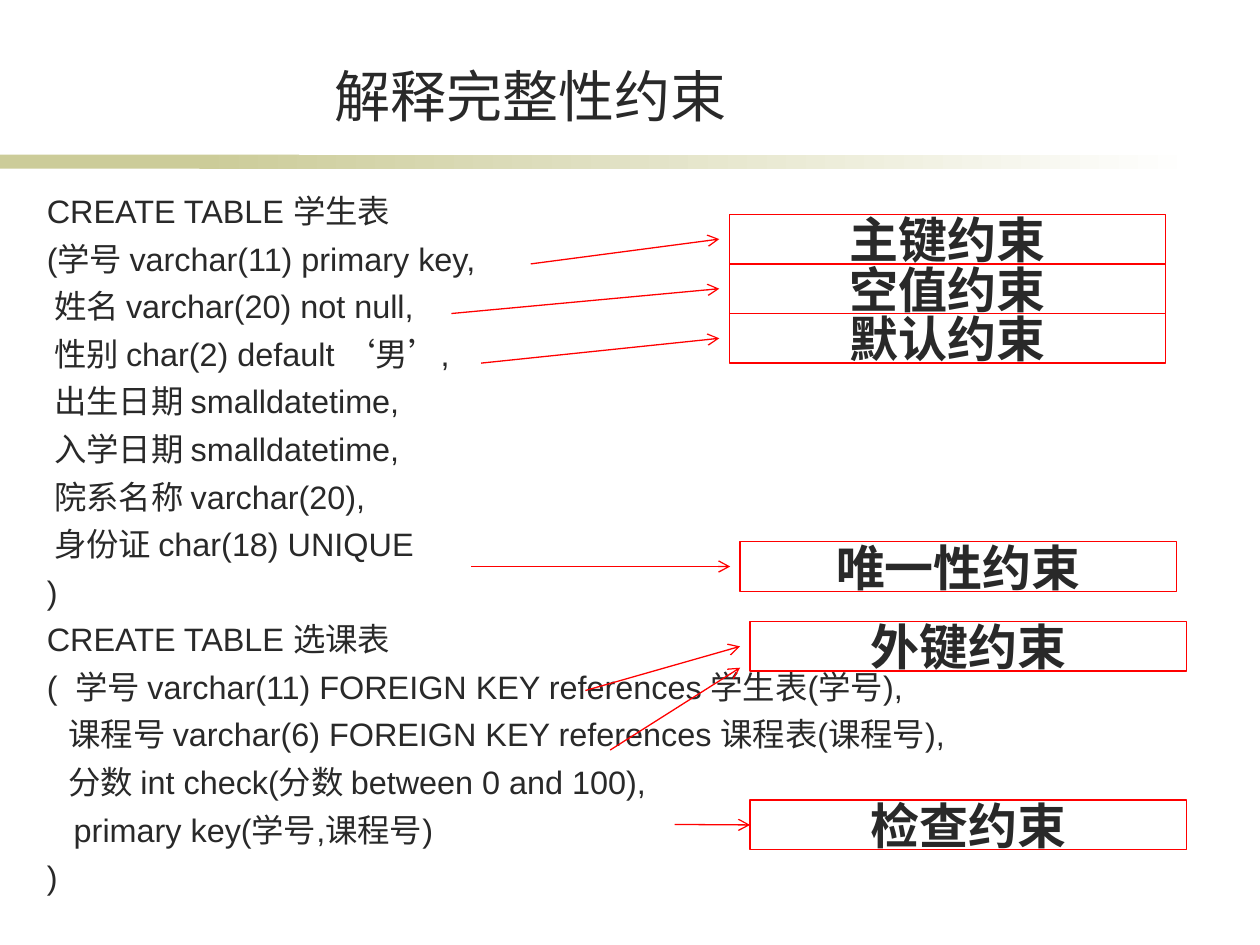
from dataclasses import dataclass

from lxml.etree import SubElement
from pptx import Presentation
from pptx.dml.color import RGBColor
from pptx.enum.shapes import MSO_CONNECTOR, MSO_SHAPE
from pptx.enum.text import MSO_ANCHOR, MSO_AUTO_SIZE, PP_ALIGN
from pptx.oxml.ns import qn
from pptx.util import Cm, Pt


@dataclass(frozen=True)
class Theme:
    ink: RGBColor = RGBColor(0x29, 0x29, 0x29)
    paper: RGBColor = RGBColor(0xFF, 0xFF, 0xFF)
    band: RGBColor = RGBColor(0xCC, 0xCC, 0x99)
    accent: RGBColor = RGBColor(0xFF, 0, 0)
    main_font: str = "Arial"
    label_font: str = "Times New Roman"
    title_size: float = 32
    code_size: float = 18.5
    label_size: float = 28
    line_width: float = 0.75


THEME = Theme()
CODE = """CREATE TABLE 学生表
(学号 varchar(11) primary key,
 姓名 varchar(20) not null,
 性别 char(2) default ‘男’,
 出生日期 smalldatetime,
 入学日期 smalldatetime,
 院系名称 varchar(20),
 身份证 char(18) UNIQUE
)
CREATE TABLE 选课表
(  学号 varchar(11) FOREIGN KEY references 学生表(学号),
   课程号 varchar(6) FOREIGN KEY references 课程表(课程号),
   分数 int check(分数 between 0 and 100),
   primary key(学号,课程号)
)"""

LABEL_WIDTH, LABEL_HEIGHT = 8.8, 1.0
ARROW_GAP = 0.2
# label, left, top, arrow starts as (x, y, end offset from the label's middle)
CONSTRAINTS = [
    ("主键约束", 14.7, 4.32, [(10.7, 5.32, 0)]),
    ("空值约束", 14.7, 5.32, [(9.1, 6.32, 0)]),
    ("默认约束", 14.7, 6.32, [(9.7, 7.32, 0)]),
    ("唯一性约束", 14.92, 10.92, [(9.5, 11.42, 0)]),
    ("外键约束", 15.12, 12.53, [(11.8, 13.92, 0), (12.3, 15.12, 0.43)]),
]
CHECK = ("检查约束", 15.12, 16.13)
CHECK_START = (13.6, 16.62)


def place(shape, left, top, width, height):
    shape.left, shape.top = Cm(left), Cm(top)
    shape.width, shape.height = Cm(width), Cm(height)


def style(paragraph, size, font_name, bold=False):
    for run in paragraph.runs:
        font = run.font
        font.size, font.name, font.bold = Pt(size), font_name, bold
        font.color.rgb = THEME.ink


def add_rectangle(slide, left, top, width, height):
    shape = slide.shapes.add_shape(
        MSO_SHAPE.RECTANGLE, Cm(left), Cm(top), Cm(width), Cm(height))
    shape.shadow.inherit = False
    return shape


def add_band(slide, left, top, width, height):
    """Rule under the title: solid at the left, fading to the paper colour."""
    solid = add_rectangle(slide, left, top, width * 0.25, height)
    solid.fill.solid()
    solid.fill.fore_color.rgb = THEME.band
    fade_left = left + width / 6
    fade = add_rectangle(slide, fade_left, top, left + width - fade_left, height)
    fade.fill.gradient()
    fade.fill.gradient_angle = 0
    for stop, color in zip(fade.fill.gradient_stops, (THEME.band, THEME.paper)):
        stop.color.rgb = color
    for shape in (solid, fade):
        shape.line.fill.background()


def fill_title(title, left, top, width, height):
    place(title, left, top, width, height)
    frame = title.text_frame
    frame.text = "解释完整性约束"
    frame.auto_size = MSO_AUTO_SIZE.NONE
    frame.vertical_anchor = MSO_ANCHOR.BOTTOM
    frame.paragraphs[0].alignment = PP_ALIGN.CENTER
    style(frame.paragraphs[0], THEME.title_size, THEME.main_font)


def fill_code(body, left, top, width, height):
    place(body, left, top, width, height)
    frame = body.text_frame
    frame.text = CODE
    frame.auto_size = MSO_AUTO_SIZE.NONE
    for index, paragraph in enumerate(frame.paragraphs):
        properties = paragraph._p.get_or_add_pPr()
        properties.set("marL", "0")
        properties.set("indent", "0")
        SubElement(properties, qn("a:buNone"))
        paragraph.line_spacing = Pt(22.2)
        paragraph.space_before = Pt(5 if index else 0)
        style(paragraph, THEME.code_size, THEME.main_font)


def add_label(slide, text, left, top):
    label = add_rectangle(slide, left, top, LABEL_WIDTH, LABEL_HEIGHT)
    label.fill.solid()
    label.fill.fore_color.rgb = THEME.paper
    label.line.color.rgb = THEME.accent
    label.line.width = Pt(THEME.line_width)
    frame = label.text_frame
    frame.text = text
    frame.word_wrap = False
    frame.vertical_anchor = MSO_ANCHOR.MIDDLE
    frame.paragraphs[0].alignment = PP_ALIGN.CENTER
    style(frame.paragraphs[0], THEME.label_size, THEME.label_font, bold=True)
    return label


def add_arrow(slide, start, end):
    arrow = slide.shapes.add_connector(
        MSO_CONNECTOR.STRAIGHT, *(Cm(value) for value in (*start, *end)))
    arrow.line.color.rgb = THEME.accent
    arrow.line.width = Pt(THEME.line_width)
    SubElement(arrow.line._get_or_add_ln(), qn("a:tailEnd"), type="arrow")
    SubElement(arrow._element.spPr, qn("a:effectLst"))
    return arrow


def add_constraints(slide):
    """Labels at the right, each with arrows from the code it explains."""
    for text, left, top, starts in CONSTRAINTS:
        add_label(slide, text, left, top)
        middle = top + LABEL_HEIGHT / 2
        for x, y, offset in starts:
            add_arrow(slide, (x, y), (left - ARROW_GAP, middle + offset))
    text, left, top = CHECK
    label = add_label(slide, text, left, top)
    arrow = add_arrow(slide, CHECK_START, (left, top + LABEL_HEIGHT / 2))
    arrow.end_connect(label, 1)


def main():
    presentation = Presentation()
    presentation.slide_width, presentation.slide_height = Cm(25.4), Cm(19.05)
    slide = presentation.slides.add_slide(presentation.slide_layouts[1])
    add_band(slide, 0, 3.12, 24.13, 0.28)
    fill_title(slide.shapes.title, 2.9, 1.12, 15.6, 1.6)
    fill_code(slide.placeholders[1], 0.69, 3.73, 24, 14.6)
    add_constraints(slide)
    presentation.save("out.pptx")


if __name__ == "__main__":
    main()
